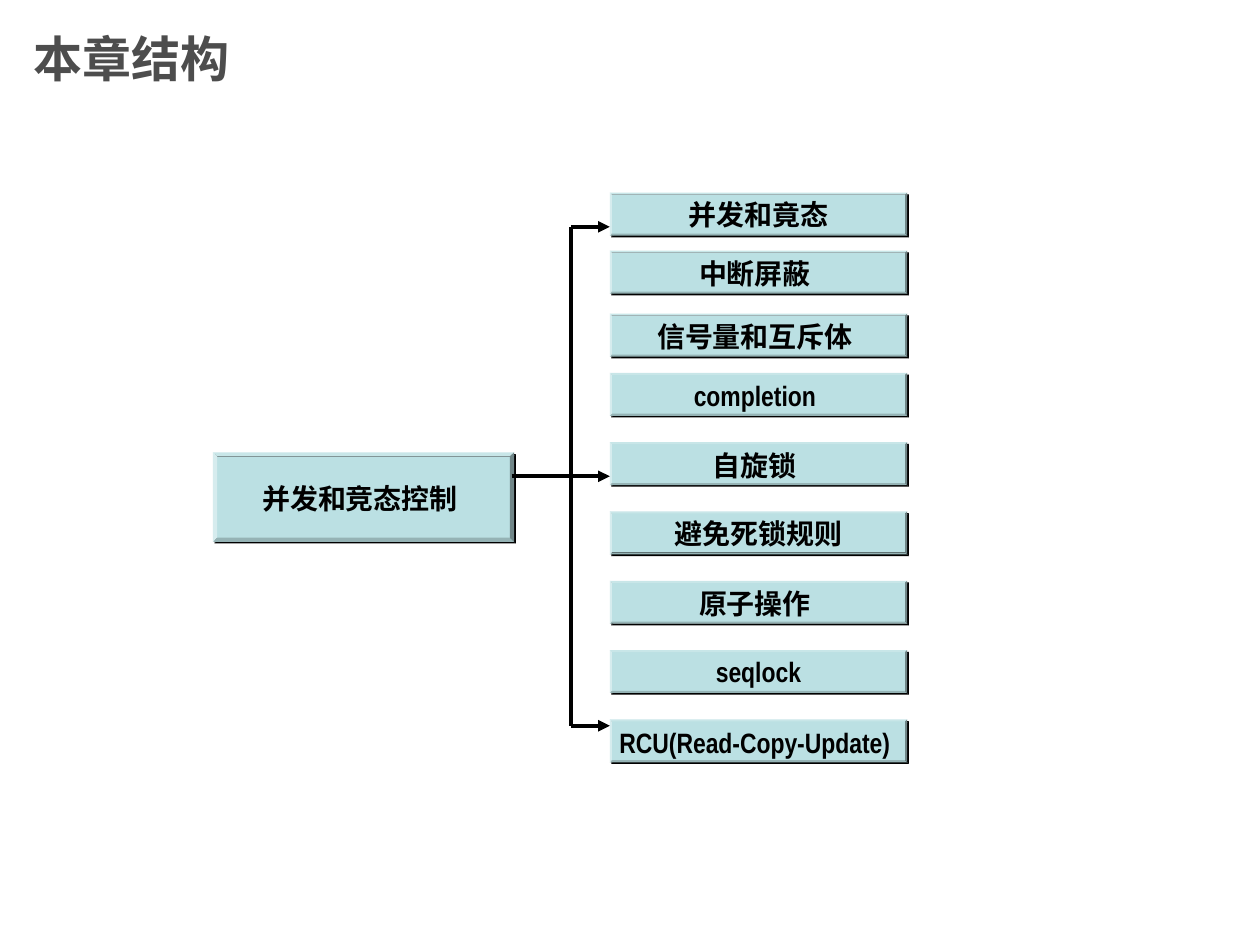
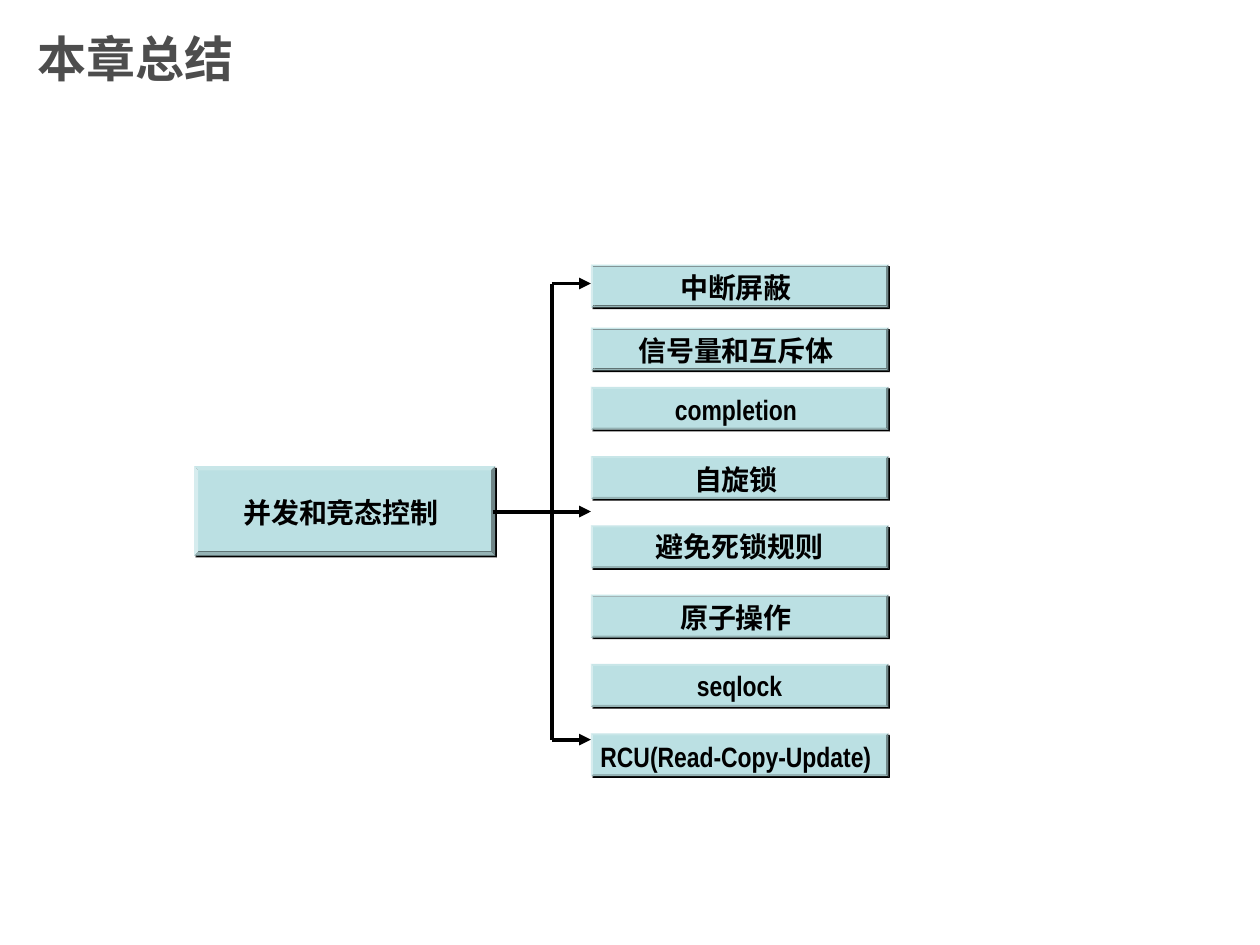
"""Build two chapter outline slides, each a root box branching to its topics."""
from dataclasses import dataclass

import lxml.etree
import pptx
import pptx.dml.color
import pptx.enum.shapes
import pptx.enum.text
import pptx.oxml
import pptx.oxml.ns
import pptx.shapes.group
import pptx.slide
import pptx.util
from pptx.util import Inches

BOX_FILL = pptx.dml.color.RGBColor(0xBB, 0xE0, 0xE3)
BLACK = pptx.dml.color.RGBColor(0x00, 0x00, 0x00)
TITLE_GREY = pptx.dml.color.RGBColor(0x4D, 0x4D, 0x4D)
TITLE_FONT = "Arial"
BOX_FONT = "Arial Narrow"

TOPIC_WIDTH, TOPIC_HEIGHT = 2.36, 0.34
ROOT_WIDTH, ROOT_HEIGHT = 2.39, 0.71
ROOT_OFFSET = 3.15
TRUNK_OFFSET = 0.31
STUB_OVERLAP = 0.02
TOPIC_STEP = 0.55


@dataclass(frozen=True)
class Topic:
    """A labelled box and its distance below the interrupt topic."""

    label: str
    offset: float
    trailing_space: bool = True


@dataclass(frozen=True)
class Outline:
    """One slide: its title, topics and the places of the tree."""

    title: str
    title_left: float
    topics: tuple[Topic, ...]
    topics_left: float
    topics_top: float
    root_top: float
    branch_top: float
    branch_bottom: float


OVERVIEW = Topic("并发和竟态", -0.46, False)
EARLY_TOPICS = (Topic("中断屏蔽", 0), Topic("信号量和互斥体", 0.5), Topic("completion", 0.97))
LATER_LABELS = (
    ("自旋锁", True),
    ("避免死锁规则", False),
    ("原子操作", True),
    ("seqlock", False),
    ("RCU(Read-Copy-Update)", True),
)
TOPICS = EARLY_TOPICS + tuple(
    Topic(label, 1.52 + index * TOPIC_STEP, trailing_space)
    for index, (label, trailing_space) in enumerate(LATER_LABELS)
)
OUTLINES = (
    Outline("本章结构", 0.17, (OVERVIEW, *TOPICS), 4.84, 1.99, 3.59, 1.8, 5.76),
    Outline("本章总结", 0.2, TOPICS, 4.69, 2.1, 3.7, 2.25, 5.87),
)


def add_run(paragraph, text: str, font: str, size: float, color: pptx.dml.color.RGBColor) -> None:
    """Append a bold run to a paragraph."""
    run = paragraph.add_run()
    run.text = text
    run.font.name = font
    run.font.size = pptx.util.Pt(size)
    run.font.bold = True
    run.font.color.rgb = color


def add_title(slide: pptx.slide.Slide, text: str, left: float) -> None:
    """Write the slide title at the top left."""
    frame = slide.shapes.add_textbox(Inches(left), 0, Inches(7.5), Inches(0.92)).text_frame
    frame.word_wrap = True
    frame.vertical_anchor = pptx.enum.text.MSO_ANCHOR.MIDDLE
    add_run(frame.paragraphs[0], text, TITLE_FONT, 28, TITLE_GREY)


def add_box(
    slide: pptx.slide.Slide, topic: Topic, left: float, top: float, width: float, height: float
) -> None:
    """Draw a bevelled box with a hard shadow and a centred label."""
    shape = slide.shapes.add_shape(
        pptx.enum.shapes.MSO_SHAPE.BEVEL, Inches(left), Inches(top), Inches(width), Inches(height)
    )
    shape.adjustments[0] = 0.047
    shape.fill.solid()
    shape.fill.fore_color.rgb = BOX_FILL
    shape.line.fill.background()
    shape.shadow.inherit = False
    effects = shape.element.spPr.find(pptx.oxml.ns.qn("a:effectLst"))
    shadow = lxml.etree.SubElement(
        effects,
        pptx.oxml.ns.qn("a:outerShdw"),
        dist=str(pptx.util.Pt(1.4)),
        dir="2700000",
        algn="ctr",
        rotWithShape="0",
    )
    lxml.etree.SubElement(shadow, pptx.oxml.ns.qn("a:srgbClr"), val=str(BLACK))

    frame = shape.text_frame
    frame.word_wrap = False
    frame.vertical_anchor = pptx.enum.text.MSO_ANCHOR.MIDDLE
    paragraph = frame.paragraphs[0]
    paragraph.alignment = pptx.enum.text.PP_ALIGN.CENTER
    paragraph.space_before = pptx.util.Pt(11.2 if topic.trailing_space else 10)
    add_run(paragraph, topic.label, BOX_FONT, 16, BLACK)
    if topic.trailing_space:
        add_run(paragraph, " ", BOX_FONT, 18, BLACK)


def add_line(
    group: pptx.shapes.group.GroupShape,
    start: tuple[float, float],
    end: tuple[float, float],
    arrow: bool = False,
) -> None:
    """Draw a black line, with an arrowhead at its end if asked."""
    connector = group.shapes.add_connector(
        pptx.enum.shapes.MSO_CONNECTOR.STRAIGHT, *map(Inches, (*start, *end))
    )
    connector.line.color.rgb = BLACK
    connector.line.width = pptx.util.Pt(2.25)
    if arrow:
        lxml.etree.SubElement(
            connector.line._get_or_add_ln(), pptx.oxml.ns.qn("a:tailEnd"), type="triangle"
        )
    lxml.etree.SubElement(connector.element.spPr, pptx.oxml.ns.qn("a:effectLst"))


def add_branches(slide: pptx.slide.Slide, outline: Outline) -> None:
    """Join the root box to the column of topics."""
    group = slide.shapes.add_group_shape()
    trunk = outline.topics_left - TRUNK_OFFSET
    middle = (outline.branch_top + outline.branch_bottom) / 2
    stub_left = outline.topics_left - ROOT_OFFSET + ROOT_WIDTH - STUB_OVERLAP
    add_line(group, (trunk, outline.branch_top), (trunk, outline.branch_bottom))
    add_line(group, (stub_left, middle), (trunk, middle))
    for height in (outline.branch_top, middle, outline.branch_bottom):
        add_line(group, (trunk, height), (outline.topics_left, height), arrow=True)


def add_outline(presentation, outline: Outline) -> None:
    """Add one slide with its title and tree."""
    slide = presentation.slides.add_slide(presentation.slide_layouts[6])
    add_title(slide, outline.title, outline.title_left)
    add_box(
        slide,
        Topic("并发和竞态控制", 0),
        outline.topics_left - ROOT_OFFSET,
        outline.root_top,
        ROOT_WIDTH,
        ROOT_HEIGHT,
    )
    add_branches(slide, outline)
    for topic in outline.topics:
        top = outline.topics_top + topic.offset
        add_box(slide, topic, outline.topics_left, top, TOPIC_WIDTH, TOPIC_HEIGHT)


def main() -> None:
    """Build and save the presentation."""
    presentation = pptx.Presentation()
    presentation.slide_width = Inches(10)
    presentation.slide_height = Inches(7.5)
    for outline in OUTLINES:
        add_outline(presentation, outline)
    presentation.save("out.pptx")


if __name__ == "__main__":
    main()
